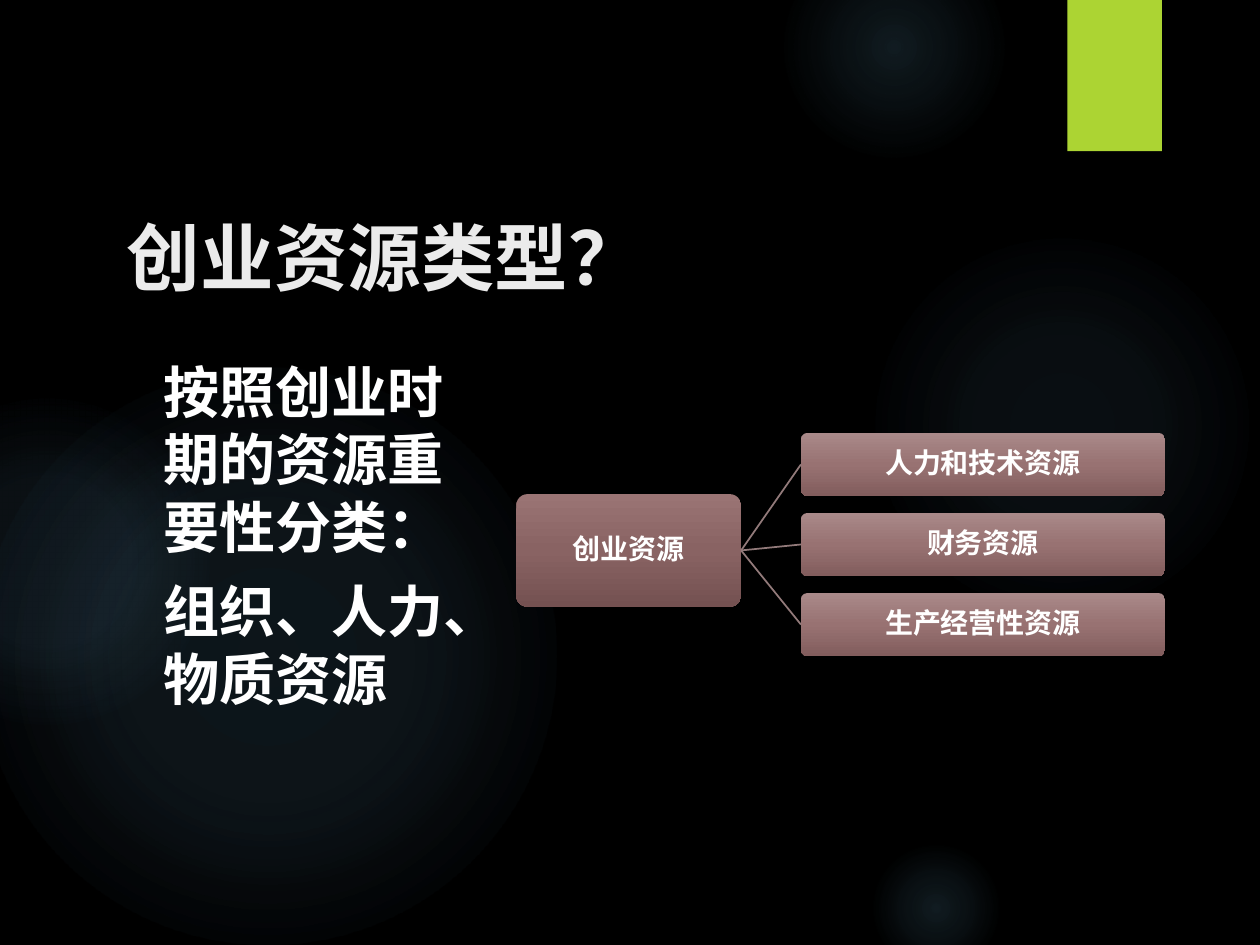
from lxml.etree import SubElement
from pptx import Presentation
from pptx.dml.color import RGBColor
from pptx.enum.shapes import MSO_CONNECTOR as Connector, MSO_SHAPE as Shape
from pptx.enum.text import MSO_ANCHOR as Anchor, PP_ALIGN as Align
from pptx.oxml.ns import qn
from pptx.util import Pt

TITLE = "创业资源类型？"
BODY = ["按照创业时期的资源重要性分类：", "组织、人力、物质资源"]
ROOT = "创业资源"
BRANCHES = ["人力和技术资源", "财务资源", "生产经营性资源"]

GLOWS = [
    (496, 132, 222, [(0, 7), (36, 6), (69, 0)]),
    (448, -36, 126, [(0, 14), (36, 7), (73, 0)]),
    (496, 480, 78, [(0, 14), (36, 7), (66, 0)]),
    (-12, 210, 330, [(0, 11), (36, 10), (75, 0)]),
    (-66, 228, 186, [(0, 8), (36, 8), (72, 0)]),
]
TAB_BOX = (610, 0, 54, 86.4)
TITLE_BOX = (65.5, 117.4, 556, 110)
BODY_BOX = (86.4, 200.9, 202.3, 274.3)
ROOT_BOX = (295, 282.4, 128.5, 64.3)
BRANCH_BOX = (457.7, 247.4, 208, 36)
BRANCH_PITCH = 45.75

THEME = {
    "font": "Noto Sans CJK SC",
    "background": "000000",
    "glow": "7AC4F0",
    "tab": "ACD433",
    "title": "EBEBEB",
    "text": "FFFFFF",
    "link": "927A7A",
    "root": ["9A7474", "896363", "745151"],
    "branch": ["A98989", "987272", "825D5D"],
    "title_size": 42,
    "body_size": 32,
    "node_size": 16,
}


def color(name):
    return RGBColor.from_string(THEME[name])


def add_shape(page, kind, bounds):
    shape = page.shapes.add_shape(kind, *map(Pt, bounds))
    shape.shadow.inherit = False
    shape.line.fill.background()
    return shape


def fill_gradient(shape, stops, radial=False):
    shape.fill.gradient()
    gradient = shape._element.spPr.find(qn("a:gradFill"))
    for child in list(gradient):
        gradient.remove(child)
    stop_list = SubElement(gradient, qn("a:gsLst"))
    for position, value, opacity in stops:
        stop = SubElement(stop_list, qn("a:gs"), pos=str(position * 1000))
        tone = SubElement(stop, qn("a:srgbClr"), val=value)
        if opacity < 100:
            SubElement(tone, qn("a:alpha"), val=str(opacity * 1000))
    if radial:
        circle = SubElement(gradient, qn("a:path"), path="circle")
        SubElement(circle, qn("a:fillToRect"), l="50000", t="50000", r="50000", b="50000")
    else:
        SubElement(gradient, qn("a:lin"), ang="5400000", scaled="0")


def write_text(frame, lines, size, tone, spacing=1.0, align=Align.LEFT, gap=0):
    frame.word_wrap = True
    for index, line in enumerate(lines):
        para = frame.add_paragraph() if index else frame.paragraphs[0]
        para.text = line
        para.alignment = align
        para.line_spacing = spacing
        if index:
            para.space_before = Pt(gap)
        para.font.size = Pt(THEME[size])
        para.font.bold = True
        para.font.color.rgb = color(tone)
        para.font.name = THEME["font"]
        defaults = para._p.pPr.find(qn("a:defRPr"))
        SubElement(defaults, qn("a:ea"), typeface=THEME["font"])


def add_node(page, label, bounds, tones):
    node = add_shape(page, Shape.ROUNDED_RECTANGLE, bounds)
    node.adjustments[0] = 0.1
    fill_gradient(node, [(50 * i, tone, 100) for i, tone in enumerate(THEME[tones])])
    frame = node.text_frame
    frame.vertical_anchor = Anchor.MIDDLE
    frame.margin_left = frame.margin_right = frame.margin_top = frame.margin_bottom = Pt(0.8)
    write_text(frame, [label], "node_size", "text", 0.9, Align.CENTER)
    return node


def add_link(page, start, end):
    link = page.shapes.add_connector(Connector.STRAIGHT, 0, 0, 0, 0)
    link.begin_connect(start, 3)
    link.end_connect(end, 1)
    link.line.color.rgb = color("link")
    link.line.width = Pt(1)
    SubElement(link._element.spPr, qn("a:effectLst"))


def main():
    deck = Presentation()
    deck.slide_width, deck.slide_height = Pt(720), Pt(540)
    page = deck.slides.add_slide(deck.slide_layouts[6])
    page.background.fill.solid()
    page.background.fill.fore_color.rgb = color("background")

    for left, top, size, stops in GLOWS:
        glow = add_shape(page, Shape.OVAL, (left, top, size, size))
        fill_gradient(glow, [(at, THEME["glow"], alpha) for at, alpha in stops], radial=True)

    tab = add_shape(page, Shape.RECTANGLE, TAB_BOX)
    tab.fill.solid()
    tab.fill.fore_color.rgb = color("tab")

    title = page.shapes.add_textbox(*map(Pt, TITLE_BOX))
    write_text(title.text_frame, [TITLE], "title_size", "title")
    body = page.shapes.add_textbox(*map(Pt, BODY_BOX))
    write_text(body.text_frame, BODY, "body_size", "text", gap=10)

    root = add_node(page, ROOT, ROOT_BOX, "root")
    left, top, width, height = BRANCH_BOX
    for row, label in enumerate(BRANCHES):
        bounds = (left, top + row * BRANCH_PITCH, width, height)
        add_link(page, root, add_node(page, label, bounds, "branch"))

    deck.save("out.pptx")


if __name__ == "__main__":
    main()
